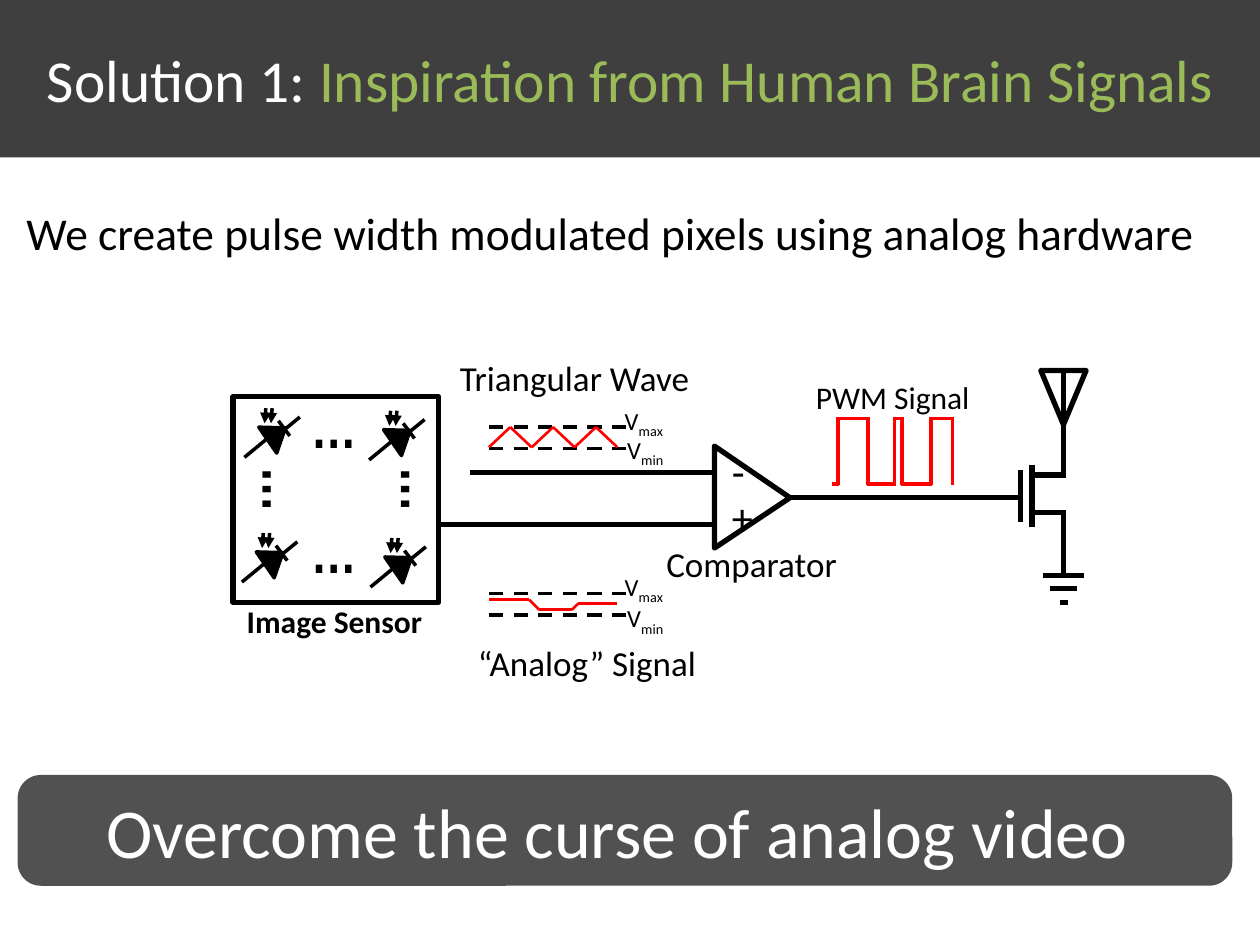
from itertools import pairwise

from pptx import Presentation
from pptx.dml.color import RGBColor
from pptx.enum import dml, shapes, text
from pptx.oxml import ns, xmlchemy
from pptx.util import Inches, Pt

BLACK = RGBColor(0x00, 0x00, 0x00)
WHITE = RGBColor(0xFF, 0xFF, 0xFF)
CHARCOAL = RGBColor(0x3F, 0x3F, 0x3F)
GREEN = RGBColor(0x9B, 0xBB, 0x59)
RED = RGBColor(0xFF, 0x00, 0x00)
FONT = "Calibri"
LEFT, CENTER = text.PP_ALIGN.LEFT, text.PP_ALIGN.CENTER


def add_element(parent, tag, **attributes):
    element = xmlchemy.OxmlElement(tag)
    for name, value in attributes.items():
        element.set(name, value)
    parent.append(element)


class Diagram:
    def __init__(self, slide):
        self.slide = slide

    def place(self, shape, left, top, width, height):
        shape.left, shape.top = Inches(left), Inches(top)
        shape.width, shape.height = Inches(width), Inches(height)

    def style(self, paragraph, size, color=BLACK, align=LEFT, font=FONT, bold=False):
        paragraph.alignment = align
        paragraph.font.name = font
        paragraph.font.size = Pt(size)
        paragraph.font.bold = bold
        paragraph.font.color.rgb = color

    def title(self, lead, highlight):
        shape = self.slide.shapes.title
        self.place(shape, 0, 0, 10, 1.25)
        shape.fill.solid()
        shape.fill.fore_color.rgb = CHARCOAL
        frame = shape.text_frame
        frame.auto_size = text.MSO_AUTO_SIZE.NONE
        frame.vertical_anchor = text.MSO_ANCHOR.MIDDLE
        paragraph = frame.paragraphs[0]
        self.style(paragraph, 34, WHITE, CENTER)
        for words, color in ((lead, WHITE), (highlight, GREEN)):
            run = paragraph.add_run()
            run.text = words
            run.font.color.rgb = color

    def body(self, words):
        shape = self.slide.placeholders[1]
        self.place(shape, 0.11, 1.58, 9.84, 0.54)
        frame = shape.text_frame
        frame.text = words
        frame.auto_size = text.MSO_AUTO_SIZE.SHAPE_TO_FIT_TEXT
        paragraph = frame.paragraphs[0]
        paragraph.space_before = Pt(0)
        properties = paragraph._p.get_or_add_pPr()
        properties.set("marL", "0")
        properties.set("indent", "0")
        add_element(properties, "a:buNone")
        self.style(paragraph, 26)

    def label(self, words, left, top, width, height, size,
              subscript=None, rotation=0, **style):
        shape = self.slide.shapes.add_textbox(0, 0, 0, 0)
        self.place(shape, left, top, width, height)
        shape.rotation = rotation
        frame = shape.text_frame
        frame.word_wrap = True
        paragraph = frame.paragraphs[0]
        self.style(paragraph, size, **style)
        paragraph.add_run().text = words
        if subscript:
            run = paragraph.add_run()
            run.text = subscript
            run._r.get_or_add_rPr().set("baseline", "-25000")
        return frame

    def sign(self, words, top):
        frame = self.label(words, 5.71, top, 0.13, 0.5, 24, align=CENTER)
        frame.word_wrap = False
        frame.margin_right = 0

    def shape(self, kind, left, top, width, height, line=3, fill=None, rotation=0):
        shape = self.slide.shapes.add_shape(kind, 0, 0, 0, 0)
        self.place(shape, left, top, width, height)
        shape.rotation = rotation
        self.paint(shape, line, fill)
        return shape

    def paint(self, shape, line, fill):
        shape.shadow.inherit = False
        if fill is None:
            shape.fill.background()
        else:
            shape.fill.solid()
            shape.fill.fore_color.rgb = fill
        if line:
            shape.line.color.rgb = BLACK
            shape.line.width = Pt(line)
        else:
            shape.line.fill.background()

    def outline(self, points):
        corners = [(Inches(x), Inches(y)) for x, y in points]
        builder = self.slide.shapes.build_freeform(*corners[0], scale=1.0)
        builder.add_line_segments(corners[1:], close=True)
        self.paint(builder.convert_to_shape(), 3, WHITE)

    def line(self, x1, y1, x2, y2, width=3, color=BLACK, dashed=False, arrow=False):
        connector = self.slide.shapes.add_connector(
            shapes.MSO_CONNECTOR.STRAIGHT,
            Inches(x1), Inches(y1), Inches(x2), Inches(y2))
        connector.line.color.rgb = color
        connector.line.width = Pt(width)
        if dashed:
            connector.line.dash_style = dml.MSO_LINE.DASH
        properties = connector._element.spPr
        if arrow:
            add_element(properties.find(ns.qn("a:ln")), "a:tailEnd", type="triangle")
        add_element(properties, "a:effectLst")

    def trace(self, points, width):
        for start, end in pairwise(points):
            self.line(*start, *end, width, RED)

    def photodiode(self, x, y):
        self.shape(shapes.MSO_SHAPE.ISOSCELES_TRIANGLE, x, y, 0.25, 0.17, 2, BLACK, 55.3)
        for x1, y1, x2, y2 in ((0.14, -0.02, 0.23, 0.1), (0.04, 0.13, -0.13, 0.27),
                               (0.2, 0.04, 0.31, -0.05)):
            self.line(x + x1, y + y1, x + x2, y + y2, 2)
        for start in (0.04, 0.09):
            self.line(x + start, y - 0.12, x + start - 0.01, y, 2, arrow=True)

    def voltage_limits(self, top, max_top, min_top):
        self.label("V", 4.86, max_top, 0.59, 0.34, 14, "max")
        self.label("V", 4.88, min_top, 0.53, 0.34, 14, "min")
        for y in (top, top + 0.17):
            self.line(3.88, y, 4.98, y, 2, dashed=True)

    def banner(self, words):
        shape = self.shape(shapes.MSO_SHAPE.ROUNDED_RECTANGLE,
                           0.14, 6.15, 9.64, 0.88, 0, CHARCOAL)
        shape.adjustments[0] = 0.21
        color = shape._element.spPr.find(ns.qn("a:solidFill"))[0]
        add_element(color, "a:alpha", val="90000")
        frame = shape.text_frame
        frame.text = words
        frame.vertical_anchor = text.MSO_ANCHOR.MIDDLE
        self.style(frame.paragraphs[0], 40, WHITE, CENTER)


def main():
    presentation = Presentation()
    presentation.slide_width, presentation.slide_height = Inches(10), Inches(7.5)
    diagram = Diagram(presentation.slides.add_slide(presentation.slide_layouts[1]))
    diagram.title("Solution 1: ", "Inspiration from Human Brain Signals")
    diagram.body("We create pulse width modulated pixels using analog hardware")

    diagram.shape(shapes.MSO_SHAPE.RECTANGLE, 1.85, 3.15, 1.63, 1.63)
    for x, y in ((2.07, 3.36), (3.06, 3.38), (2.05, 4.35), (3.07, 4.39)):
        diagram.photodiode(x, y)
    dots = {"font": "Arial Narrow", "bold": True}
    for top in (3.07, 4.06):
        diagram.label("…", 2.37, top, 0.36, 0.64, 32, **dots)
    for left in (1.77, 2.87):
        diagram.label("…", left, 3.54, 0.51, 0.74, 32, rotation=270, **dots)
    diagram.label("Image Sensor", 1.86, 4.73, 1.61, 0.4, 18, bold=True)

    diagram.outline([(5.67, 3.54), (5.67, 4.35), (6.27, 3.95)])
    diagram.line(5.67, 3.75, 3.73, 3.75)
    diagram.line(5.67, 4.16, 3.49, 4.16)
    diagram.line(8.1, 3.95, 6.26, 3.95)
    diagram.sign("-", 3.49)
    diagram.sign("+", 3.85)

    diagram.voltage_limits(3.39, 3.17, 3.4)
    diagram.trace([(3.88 + 0.17 * i, 3.39 if i % 2 else 3.55) for i in range(7)], 1.5)
    diagram.voltage_limits(4.71, 4.49, 4.74)
    diagram.trace([(3.88, 4.76), (4.2, 4.76), (4.28, 4.84), (4.54, 4.84),
                   (4.59, 4.79), (4.9, 4.79)], 1.5)

    diagram.shape(shapes.MSO_SHAPE.ISOSCELES_TRIANGLE, 8.26, 2.94, 0.36, 0.43, rotation=180)
    for x, top, bottom in ((8.44, 2.94, 3.79), (8.1, 3.73, 4.14),
                           (8.19, 3.69, 4.18), (8.44, 4.05, 4.57)):
        diagram.line(x, top, x, bottom)
    for y, left, right in ((3.77, 8.19, 8.44), (4.07, 8.19, 8.45), (4.57, 8.28, 8.6),
                           (4.67, 8.33, 8.55), (4.78, 8.41, 8.48)):
        diagram.line(left, y, right, y)

    high, low = 3.32, 3.84
    edges = (6.65, 6.89, 7.1, 7.16, 7.39, 7.56)
    for x in edges:
        diagram.line(x, low + 0.01, x, high - 0.01, 2, RED)
    for i, (start, end) in enumerate(pairwise((6.61, *edges))):
        level = high if i % 2 else low
        diagram.line(start - 0.01, level, end + 0.01, level, 2, RED)

    diagram.banner("Overcome the curse of analog video ")
    for words, left, top, width, height, size in (
            ("PWM Signal", 6.34, 2.95, 1.49, 0.4, 18),
            ("“Analog” Signal", 3.68, 5.04, 1.96, 0.44, 20),
            ("Comparator", 5.06, 4.26, 1.81, 0.4, 20),
            ("Triangular Wave", 3.44, 2.78, 2.24, 0.38, 20)):
        diagram.label(words, left, top, width, height, size, align=CENTER)
    presentation.save("out.pptx")


if __name__ == "__main__":
    main()
